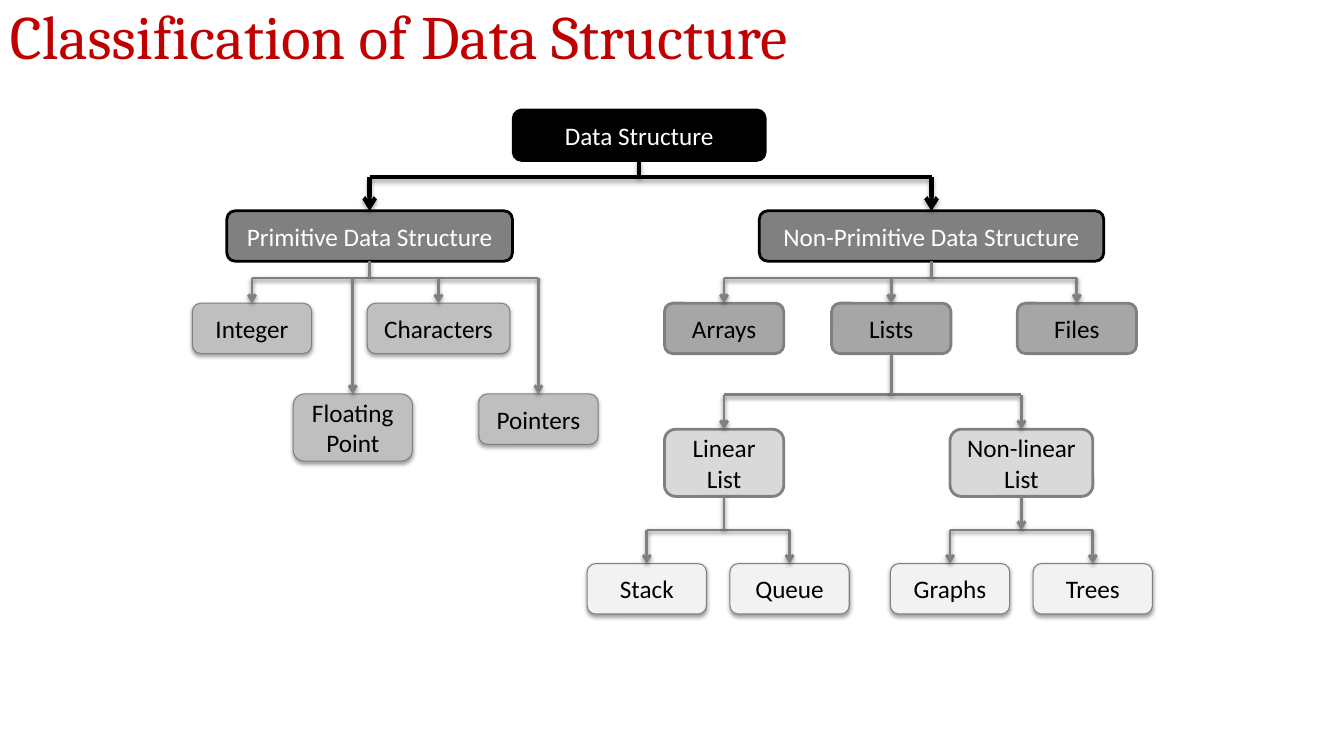
import pptx
import pptx.dml.color
import pptx.enum.shapes
import pptx.enum.text
import pptx.oxml
import pptx.oxml.ns
import pptx.util

COLS, ROWS = 160, 90
WIDE, HIGH = 13.33, 7.5
HUES = {
    "title": "C00000", "black": "000000", "white": "FFFFFF",
    "line": "808080", "mid": "A6A6A6", "soft": "BFBFBF",
    "pale": "D9D9D9", "light": "F2F2F2",
}
TOP, BOTTOM = 0, 2  # connection sites


class Chart:
    def __init__(self, slide):
        self.slide = slide
        self.font = "Calibri"

    def x(self, col):
        return pptx.util.Inches(WIDE * col / COLS)

    def y(self, row):
        return pptx.util.Inches(HIGH * row / ROWS)

    def hue(self, name):
        return pptx.dml.color.RGBColor.from_string(HUES[name])

    def label(self, shape, text, size=18, hue="black", font=None, align="CENTER", space=None):
        frame = shape.text_frame
        frame.word_wrap = True
        frame.vertical_anchor = pptx.enum.text.MSO_ANCHOR.MIDDLE
        frame.text = text
        for para in frame.paragraphs:
            para.alignment = pptx.enum.text.PP_ALIGN[align]
            para.line_spacing = space
            style = para.runs[0].font
            style.name = font or self.font
            style.size = pptx.util.Pt(size)
            style.color.rgb = self.hue(hue)

    def stroke(self, item, hue, width):
        item.line.color.rgb = self.hue(hue)
        item.line.width = pptx.util.Pt(width)

    def shade(self, item, alpha=38, dist=1.6):
        """Give a shape or connector a soft shadow straight below it."""
        props = item.element.spPr
        for old in props.findall(pptx.oxml.ns.qn("a:effectLst")):
            props.remove(old)
        props.append(pptx.oxml.parse_xml(
            f'<a:effectLst {pptx.oxml.ns.nsdecls("a")}>'
            f'<a:outerShdw blurRad="{pptx.util.Pt(3.1)}" dist="{pptx.util.Pt(dist)}"'
            ' dir="5400000" rotWithShape="0"><a:srgbClr val="000000">'
            f'<a:alpha val="{alpha * 1000}"/></a:srgbClr></a:outerShdw></a:effectLst>'))

    def title(self, text):
        box = self.slide.shapes.add_textbox(0, 0, self.x(COLS), self.y(9.36))
        self.label(box, text, size=44, hue="title", font="Cambria", align="LEFT", space=0.9)

    def box(self, text, mid, top, wide=14.2, high=6, fill="soft", ink="black",
            edge="line", width=2, shade=False):
        """Draw a rounded box centred on column mid."""
        shape = self.slide.shapes.add_shape(
            pptx.enum.shapes.MSO_SHAPE.ROUNDED_RECTANGLE,
            self.x(mid - wide / 2), self.y(top), self.x(wide), self.y(high))
        shape.shadow.inherit = False
        shape.fill.solid()
        shape.fill.fore_color.rgb = self.hue(fill)
        self.stroke(shape, edge, width)
        if shade:
            self.shade(shape)
        self.label(shape, text, hue=ink)
        return shape

    def row(self, items, top, **style):
        return [self.box(text, mid, top, **style) for text, mid in items]

    def link(self, start, end, hue="line", width=2, head=False, tail_box=None, head_box=None):
        """Draw a line, joined to the bottom of tail_box or the top of head_box."""
        line = self.slide.shapes.add_connector(
            pptx.enum.shapes.MSO_CONNECTOR.STRAIGHT, *start, *end)
        if tail_box is not None:
            line.begin_connect(tail_box, BOTTOM)
        if head_box is not None:
            line.end_connect(head_box, TOP)
        self.stroke(line, hue, width)
        if head:
            edge = line.element.spPr.find(pptx.oxml.ns.qn("a:ln"))
            edge.append(pptx.oxml.parse_xml(
                f'<a:tailEnd {pptx.oxml.ns.nsdecls("a")} type="arrow"/>'))
        if hue == "black":
            self.shade(line, alpha=35, dist=1.8)
        else:
            self.shade(line)

    def fork(self, root, kids, row, stem_head=False, **style):
        """Join a root box to its kids by way of a bar at the given row."""
        def mid(shape):
            return shape.left + shape.width // 2

        bar = self.y(row)
        spots = [mid(kid) for kid in kids]
        self.link((min(spots), bar), (max(spots), bar), **style)
        for kid, spot in zip(kids, spots):
            self.link((spot, bar), (spot, kid.top), head=True, head_box=kid, **style)
        self.link((mid(root), root.top + root.height), (mid(root), bar),
                  head=stem_head, tail_box=root, **style)


def main():
    deck = pptx.Presentation()
    deck.slide_width = pptx.util.Inches(WIDE)
    deck.slide_height = pptx.util.Inches(HIGH)
    chart = Chart(deck.slides.add_slide(deck.slide_layouts[6]))
    chart.title("Classification of Data Structure")

    dark = dict(ink="white", edge="black")
    root = chart.box("Data Structure", 76.1, 13.1, wide=30, fill="black", **dark)
    prime = chart.box("Primitive Data Structure", 44, 25.1, wide=34, fill="line", **dark)
    other = chart.box("Non-Primitive Data Structure", 110.9, 25.1, wide=41, fill="line", **dark)
    chart.fork(root, [prime, other], 21.1, hue="black", width=3)

    thin = dict(width=0.75, shade=True)
    types = [
        chart.box("Integer", 30, 36.1, **thin),
        chart.box("Floating\nPoint", 42, 46.9, high=8, **thin),
        chart.box("Characters", 52.2, 36.1, wide=17, **thin),
        chart.box("Pointers", 64.1, 46.9, **thin),
    ]
    chart.fork(prime, types, 33.1)

    groups = chart.row([("Arrays", 86.2), ("Lists", 106.1), ("Files", 128.2)], 36.1, fill="mid")
    chart.fork(other, groups, 33.1)

    tall = dict(high=8, fill="pale")
    linear = chart.box("Linear List", 86.2, 51.1, **tall)
    branch = chart.box("Non-linear List", 121.6, 51.1, wide=17, **tall)
    chart.fork(groups[1], [linear, branch], 47)

    for parent, items, head in (
        (linear, [("Stack", 77), ("Queue", 94)], False),
        (branch, [("Graphs", 113.1), ("Trees", 130.1)], True),
    ):
        leaves = chart.row(items, 67.1, fill="light", **thin)
        chart.fork(parent, leaves, 63.1, stem_head=head)

    deck.save("out.pptx")


if __name__ == "__main__":
    main()
